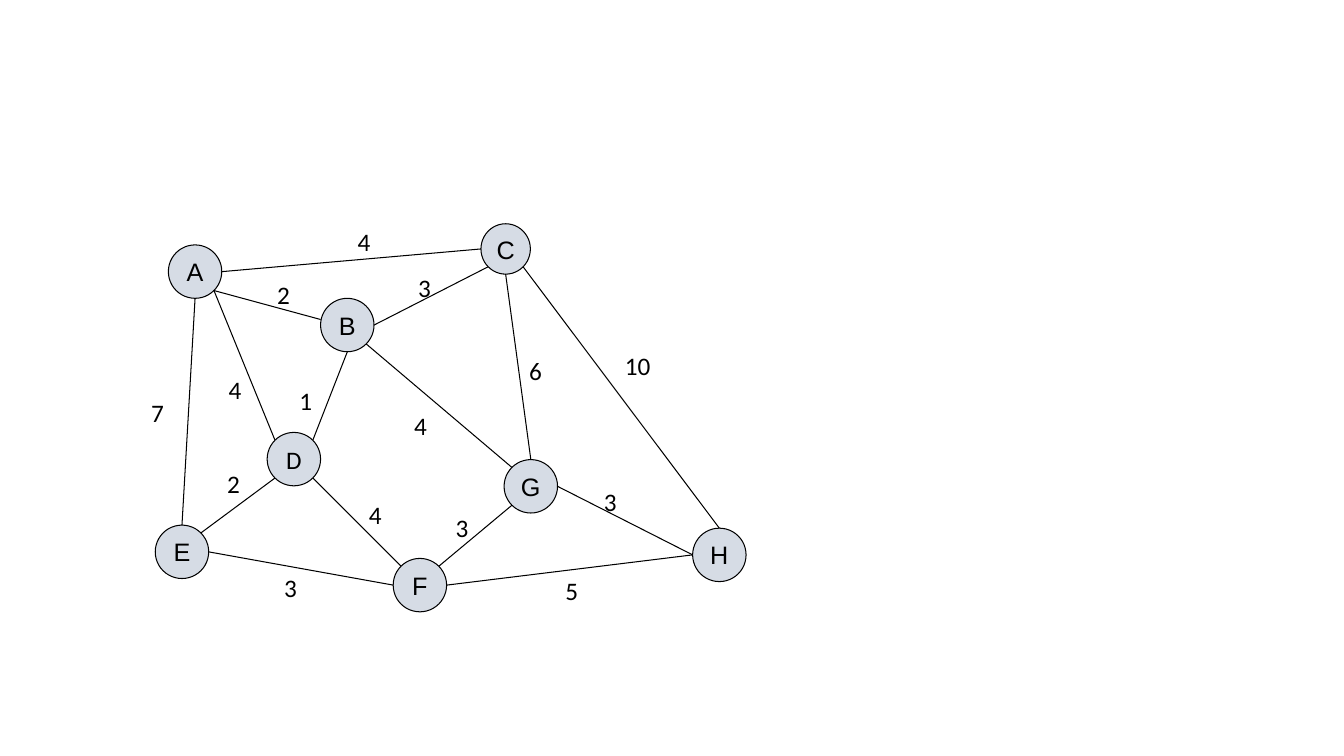
"""Draw a weighted graph with eight nodes."""
import math
import pptx
import pptx.dml.color
import pptx.enum.shapes
import pptx.enum.text
import pptx.util
from pptx.util import Inches

INK, NODE_FILL = "000000", "D6DCE5"
SIZE = 0.53

NODES = {
    "A": (1.67, 2.43, SIZE, SIZE, "Arial"),
    "B": (3.18, 2.96, SIZE, SIZE, "Arial"),
    "G": (5.00, 4.56, SIZE, SIZE, "Arial"),
    "F": (3.90, 5.54, SIZE, SIZE, "Arial"),
    "E": (1.54, 5.21, SIZE, SIZE, "Arial"),
    "D": (2.65, 4.29, SIZE, SIZE, "Calibri"),
    "C": (4.77, 2.22, 0.49, 0.50, "Arial"),
    "H": (6.87, 5.24, SIZE, SIZE, "Arial"),
}

SIDES = {"right": 0, "lower right": 45, "bottom": 90, "lower left": 135,
         "left": 180, "upper left": 225, "top": 270, "upper right": 315}

EDGES = [
    ("A", "lower right", "B", "upper left", "2", (2.65, 2.72, 0.26, 0.43)),
    ("C", "lower left", "B", "right", "3", (4.05, 2.65, 0.23, 0.43)),
    ("D", "upper right", "B", "bottom", "1", (2.87, 3.77, 0.23, 0.43)),
    ("D", "lower left", "E", "upper right", "2", (2.20, 4.60, 0.15, 0.43)),
    ("D", "lower right", "F", "upper left", "4", (3.56, 4.90, 0.23, 0.43)),
    ("G", "lower left", "F", "upper right", "3", (4.42, 5.03, 0.29, 0.43)),
    ("G", "right", "H", "left", "3", (5.89, 4.78, 0.62, 0.43)),
    ("F", "right", "H", "left", "5", (5.51, 5.66, 0.22, 0.43)),
    ("E", "right", "F", "left", "3", (2.72, 5.63, 0.46, 0.43)),
    ("C", "left", "A", "right", "4", (3.45, 2.20, 0.23, 0.43)),
    ("E", "top", "A", "bottom", "7", (1.40, 3.89, 0.46, 0.40)),
    ("C", "bottom", "G", "top", "6", (5.15, 3.48, 0.46, 0.40)),
    ("C", "lower right", "H", "top", "10", (6.10, 3.43, 0.46, 0.40)),
    ("B", "lower right", "G", "upper left", "4", (4.01, 4.02, 0.46, 0.40)),
    ("A", "lower right", "D", "upper left", "4", (2.17, 3.66, 0.23, 0.43)),
]
MOVED_ENDS = {("A", "B"): (3.18, 3.17)}


def color(code):
    return pptx.dml.color.RGBColor.from_string(code)


def write(frame, text, font="Calibri", size=18, ink=INK, align="LEFT", anchor="TOP"):
    frame.word_wrap = True
    frame.vertical_anchor = getattr(pptx.enum.text.MSO_ANCHOR, anchor)
    paragraph = frame.paragraphs[0]
    paragraph.alignment = getattr(pptx.enum.text.PP_ALIGN, align)
    run = paragraph.add_run()
    run.text = text
    run.font.name = font
    run.font.size = pptx.util.Pt(size)
    run.font.color.rgb = color(ink)


def outline(part):
    part.line.color.rgb = color(INK)
    part.line.width = pptx.util.Pt(0.75)


def rim(node, side):
    left, top, width, height, _ = NODES[node]
    angle = math.radians(SIDES[side])
    return (left + width / 2 * (1 + math.cos(angle)),
            top + height / 2 * (1 + math.sin(angle)))


def add_node(slide, name):
    *place, font = NODES[name]
    circle = slide.shapes.add_shape(
        pptx.enum.shapes.MSO_SHAPE.OVAL, *map(Inches, place))
    circle.shadow.inherit = False
    circle.fill.solid()
    circle.fill.fore_color.rgb = color(NODE_FILL)
    outline(circle)
    frame = circle.text_frame
    frame.margin_left = frame.margin_right = frame.margin_top = frame.margin_bottom = 0
    write(frame, name, font=font, align="CENTER", anchor="MIDDLE")


def add_edge(slide, start, start_side, end, end_side):
    finish = MOVED_ENDS.get((start, end), rim(end, end_side))
    edge = slide.shapes.add_connector(
        pptx.enum.shapes.MSO_CONNECTOR.STRAIGHT,
        *map(Inches, rim(start, start_side) + finish))
    outline(edge)
    properties = edge._element.spPr
    properties.append(properties.makeelement(pptx.oxml.ns.qn("a:effectLst"), {}))


deck = pptx.Presentation()
deck.slide_width, deck.slide_height = Inches(13.33), Inches(7.5)
slide = deck.slides.add_slide(deck.slide_layouts[6])
for name in NODES:
    add_node(slide, name)
for *ends, weight, place in EDGES:
    add_edge(slide, *ends)
    write(slide.shapes.add_textbox(*map(Inches, place)).text_frame, weight)
deck.save("out.pptx")
